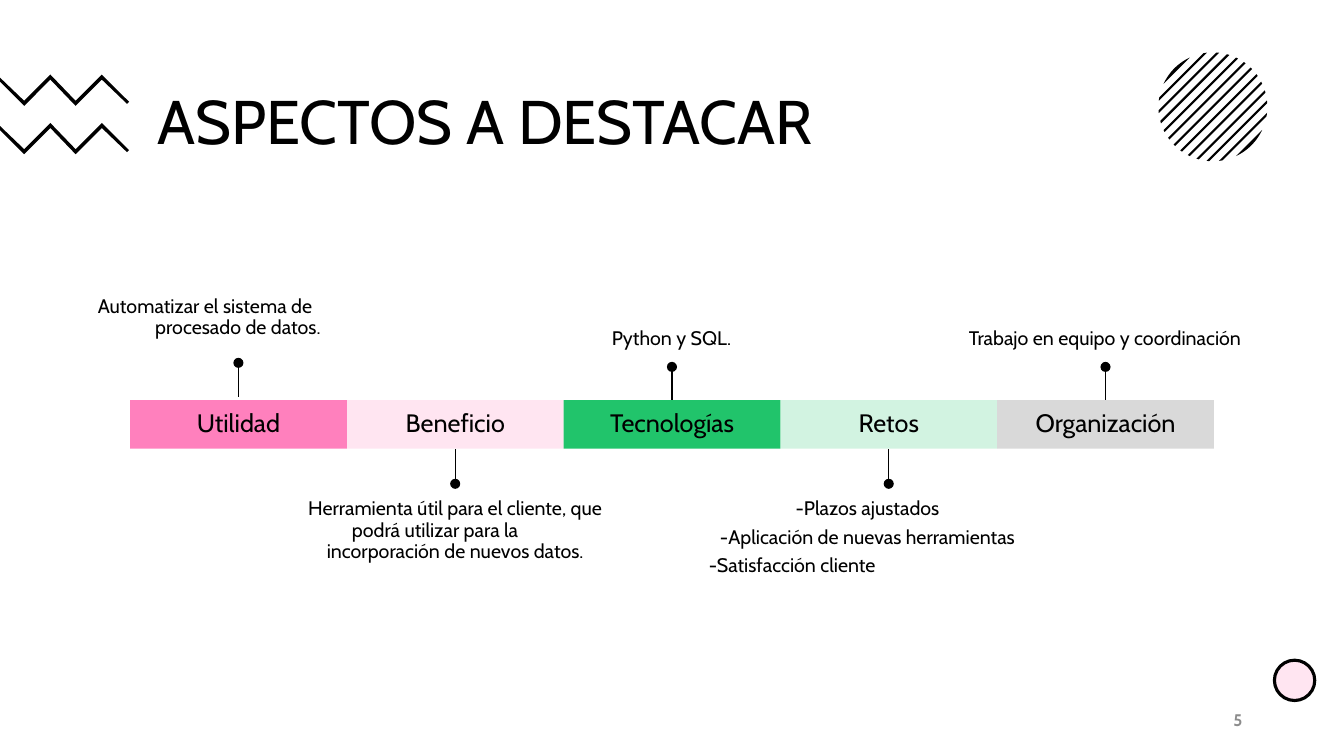
from math import acos, cos, pi, sin

from lxml.etree import SubElement
from pptx import Presentation
from pptx.dml.color import RGBColor
from pptx.enum.shapes import MSO_CONNECTOR, MSO_SHAPE
from pptx.enum.text import MSO_ANCHOR, PP_ALIGN
from pptx.oxml.ns import qn
from pptx.util import Inches, Pt

COLORS = {"black": "000000", "pink": "FF80BD", "green": "21C46B",
          "gray": "D9D9D9", "number": "8C8C8C"}
SEGMENT_LEFT, SEGMENT_TOP, SEGMENT_WIDTH, SEGMENT_HEIGHT = 1.29, 3.97, 2.15, 0.48
DOT_SIZE = 0.1

# Each callout line holds its text and its left indent; None means centred.
SEGMENTS = [
    ("Utilidad", "pink", 100, 3.55, 3.94, (0.57, 1.87, 3.58, 1.52), 0,
     [("Automatizar el sistema de", 0.34), ("procesado de datos.", None)]),
    ("Beneficio", "pink", 20, 4.83, 4.45, (2.97, 4.92, 3.09, 1.67), 0,
     [("Herramienta útil para el cliente, que", None),
      ("podrá utilizar para la", 0.46),
      ("incorporación de nuevos datos.", None)]),
    ("Tecnologías", "green", 100, 3.59, 3.97, (4.87, 1.83, 3.58, 1.67), 0,
     [("Python y SQL.", None)]),
    ("Retos", "green", 20, 4.83, 4.45, (6.93, 4.92, 3.35, 1.67), 5,
     [("-Plazos ajustados", None),
      ("-Aplicación de nuevas herramientas", None),
      ("-Satisfacción cliente", 0.04)]),
    ("Organización", "gray", 100, 3.59, 3.97, (9.17, 1.83, 3.58, 1.67), 0,
     [("Trabajo en equipo y coordinación", None)]),
]


class SlideBuilder:
    """Draw styled elements on the current slide."""

    def __init__(self, slide, font="Cabin"):
        self.slide = slide
        self.font = font

    def paint(self, shape, color, alpha=100, outline=None):
        shape.shadow.inherit = False
        shape.fill.solid()
        shape.fill.fore_color.rgb = RGBColor.from_string(COLORS[color])
        if alpha < 100:
            fill_color = shape._element.spPr.find(qn("a:solidFill"))[0]
            SubElement(fill_color, qn("a:alpha")).set("val", str(alpha * 1000))
        if outline:
            shape.line.color.rgb = RGBColor.from_string(COLORS["black"])
            shape.line.width = Pt(outline)
        else:
            shape.line.fill.background()
        return shape

    def preset(self, kind, box, color, alpha=100, outline=None):
        shape = self.slide.shapes.add_shape(kind, *map(Inches, box))
        return self.paint(shape, color, alpha, outline)

    def polygon(self, points, color="black"):
        corners = [(Inches(x), Inches(y)) for x, y in points]
        builder = self.slide.shapes.build_freeform(*corners[0], scale=1.0)
        builder.add_line_segments(corners[1:], close=True)
        return self.paint(builder.convert_to_shape(), color)

    def fill_text(self, shape, lines, size, align=PP_ALIGN.CENTER, anchor=MSO_ANCHOR.MIDDLE,
                  insets=(0.1, 0.05), color="black", bold=False, gap=0):
        frame = shape.text_frame
        frame.word_wrap = True
        frame.vertical_anchor = anchor
        frame.margin_left = frame.margin_right = Inches(insets[0])
        frame.margin_top = frame.margin_bottom = Inches(insets[1])
        for index, (text, indent) in enumerate(lines):
            paragraph = frame.add_paragraph() if index else frame.paragraphs[0]
            paragraph.text = text
            paragraph.alignment = align if indent is None else PP_ALIGN.LEFT
            if indent is not None:
                paragraph._p.get_or_add_pPr().set("marL", str(Inches(indent)))
            paragraph.line_spacing = 0.9
            paragraph.space_after = Pt(gap)
            paragraph.font.name = self.font
            paragraph.font.size = Pt(size)
            paragraph.font.bold = bold
            paragraph.font.color.rgb = RGBColor.from_string(COLORS[color])

    def text(self, box, lines, size, **style):
        shape = self.slide.shapes.add_textbox(*map(Inches, box))
        self.fill_text(shape, lines, size, **style)

    def pin(self, x, tip, base):
        line = self.slide.shapes.add_connector(
            MSO_CONNECTOR.STRAIGHT, Inches(x), Inches(tip), Inches(x), Inches(base))
        line.line.color.rgb = RGBColor.from_string(COLORS["black"])
        line.line.width = Pt(1)
        SubElement(line._element.spPr, qn("a:effectLst"))
        top = tip if tip < base else tip - 0.08
        self.preset(MSO_SHAPE.OVAL, (x - DOT_SIZE / 2, top, DOT_SIZE, DOT_SIZE), "black")

    def zigzag(self, top):
        upper = [(0, 0.03), (0.24, 0.26), (0.5, 0), (0.75, 0.26), (1.01, 0), (1.28, 0.27)]
        lower = [(1.26, 0.29), (1.01, 0.05), (0.75, 0.31), (0.5, 0.05), (0.24, 0.31), (0, 0.07)]
        self.polygon([(x, top + y) for x, y in upper + lower])

    def striped_disc(self, center_x, center_y, diameter, stripes=13):
        radius = diameter / 2
        pitch, half_width = diameter * 0.08, diameter * 0.01
        steps = 8
        for index in range(stripes):
            middle = (index - stripes // 2) * pitch
            near = -radius if index == 0 else middle - half_width
            far = radius if index == stripes - 1 else middle + half_width
            start, end = acos(near / radius), acos(far / radius)
            arc = [start + (end - start) * step / steps for step in range(steps + 1)]
            angles = [pi / 4 + turn for turn in arc] + [pi / 4 - turn for turn in reversed(arc)]
            self.polygon([(center_x + radius * cos(angle), center_y + radius * sin(angle))
                          for angle in angles])

    def segment(self, index, name, color, alpha, tip, base, box, gap, lines):
        left = SEGMENT_LEFT + index * SEGMENT_WIDTH
        bar = self.preset(MSO_SHAPE.RECTANGLE,
                          (left, SEGMENT_TOP, SEGMENT_WIDTH, SEGMENT_HEIGHT), color, alpha)
        self.fill_text(bar, [(name, None)], 18, insets=(0.04, 0))
        self.pin(left + SEGMENT_WIDTH / 2, tip, base)
        anchor = MSO_ANCHOR.BOTTOM if tip < base else MSO_ANCHOR.TOP
        self.text(box, lines, 14, anchor=anchor, insets=(0.06, 0.03), gap=gap)


def main():
    presentation = Presentation()
    presentation.slide_width, presentation.slide_height = Inches(13.33), Inches(7.5)
    builder = SlideBuilder(presentation.slides.add_slide(presentation.slide_layouts[6]))
    builder.striped_disc(12.03, 1.06, 1.08)
    for top in (0.74, 1.22):
        builder.zigzag(top)
    builder.preset(MSO_SHAPE.OVAL, (12.64, 6.55, 0.4, 0.4), "pink", 20, 2.25)
    builder.text((1.46, 0.62, 10.66, 1.23), [("ASPECTOS A DESTACAR", None)], 44,
                 align=PP_ALIGN.LEFT)
    builder.text((9.42, 6.95, 3, 0.4), [("5", None)], 12, align=PP_ALIGN.RIGHT,
                 color="number", bold=True)
    for index, segment in enumerate(SEGMENTS):
        builder.segment(index, *segment)
    presentation.save("out.pptx")


if __name__ == "__main__":
    main()
